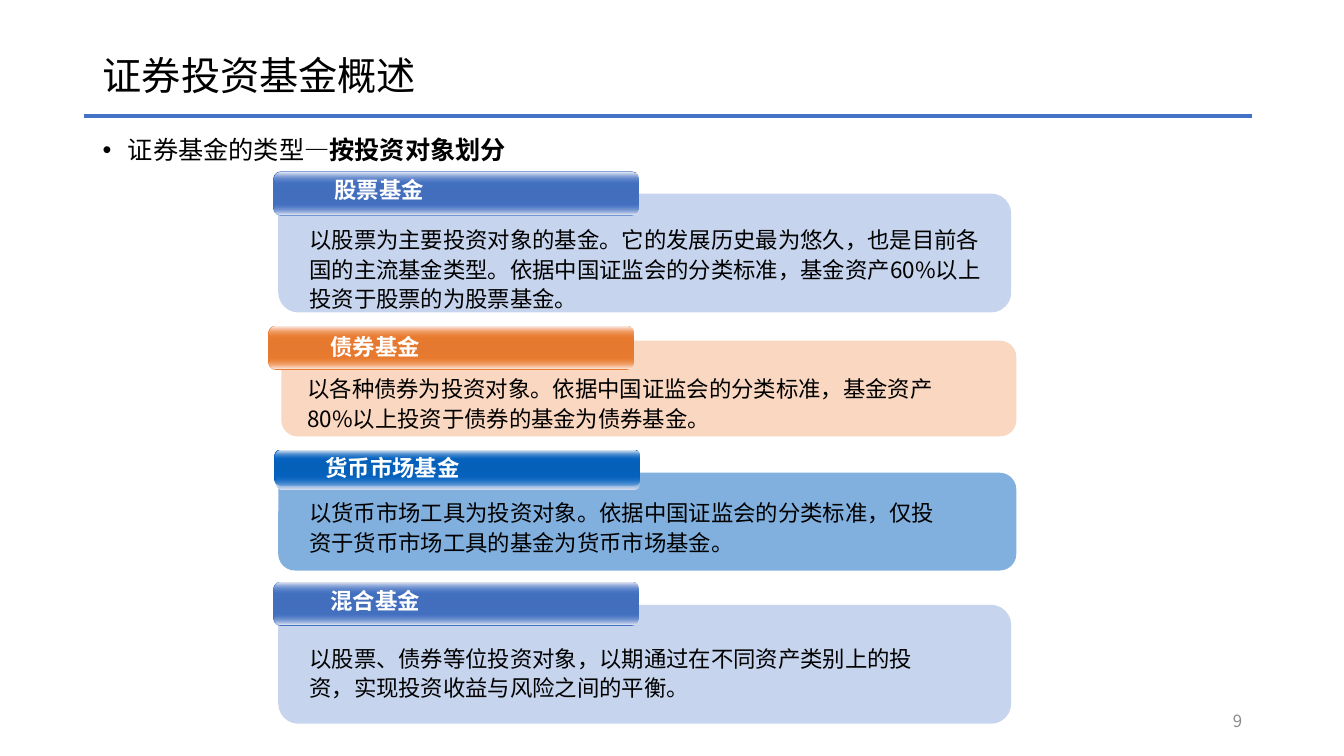
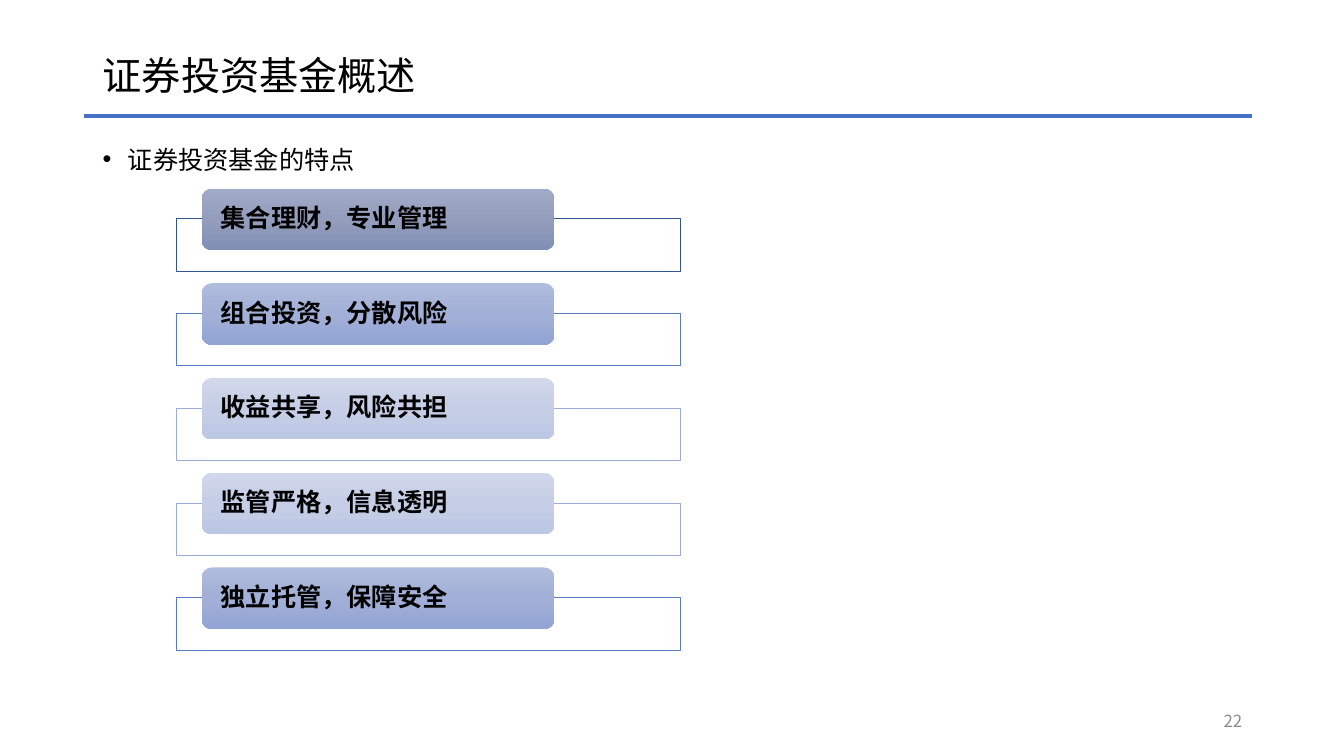
from lxml import etree
from pptx import Presentation
from pptx.dml.color import RGBColor
from pptx.enum.shapes import MSO_CONNECTOR, MSO_SHAPE
from pptx.enum.text import MSO_ANCHOR, MSO_AUTO_SIZE, PP_ALIGN
from pptx.oxml import parse_xml
from pptx.oxml.ns import nsdecls, qn
from pptx.util import Inches, Pt

RECTANGLE, ROUNDED = MSO_SHAPE.RECTANGLE, MSO_SHAPE.ROUNDED_RECTANGLE
STRAIGHT = MSO_CONNECTOR.STRAIGHT
TOP, MIDDLE = MSO_ANCHOR.TOP, MSO_ANCHOR.MIDDLE
LEFT, RIGHT = PP_ALIGN.LEFT, PP_ALIGN.RIGHT
NO_AUTOFIT = MSO_AUTO_SIZE.NONE

FONT = "Noto Sans CJK SC"
BLACK, WHITE, GRAY = "000000", "FFFFFF", "8C8C8C"
BLUE, ORANGE, DEEP_BLUE = "4472C4", "ED7D31", "0563C1"
color = RGBColor.from_string


def set_text(shape, runs, size, text_color=BLACK, spacing=1.0, align=LEFT, anchor=TOP):
    frame = shape.text_frame
    frame.word_wrap = True
    frame.auto_size = NO_AUTOFIT
    frame.vertical_anchor = anchor
    paragraph = frame.paragraphs[0]
    paragraph.alignment = align
    paragraph.line_spacing = spacing
    for text, bold in runs:
        run = paragraph.add_run()
        run.text = text
        run.font.size = Pt(size)
        run.font.bold = bold
        run.font.color.rgb = color(text_color)
        run.font.name = FONT
        east_asian = etree.SubElement(run.font._element, qn("a:ea"))
        east_asian.set("typeface", FONT)
    return paragraph


def add_box(group, kind, at, stops, adjustment=None, line=None):
    shape = group.shapes.add_shape(kind, *map(Inches, at))
    shape.shadow.inherit = False
    if adjustment is not None:
        shape.adjustments[0] = adjustment
    if line:
        shape.line.color.rgb = color(line)
        shape.line.width = Pt(0.5)
    else:
        shape.line.fill.background()
    colors = [
        f'<a:srgbClr val="{value}"><a:alpha val="{opacity * 1000}"/></a:srgbClr>'
        for value, opacity in stops
    ]
    if len(colors) == 1:
        fill = f'<a:solidFill {nsdecls("a")}>{colors[0]}</a:solidFill>'
    else:
        step = 100000 // (len(colors) - 1)
        marks = "".join(f'<a:gs pos="{i * step}">{c}</a:gs>' for i, c in enumerate(colors))
        fill = (f'<a:gradFill {nsdecls("a")} rotWithShape="1"><a:gsLst>{marks}</a:gsLst>'
                '<a:lin ang="5400000" scaled="0"/></a:gradFill>')
    shape.fill.background()
    properties = shape._element.spPr
    properties.replace(properties.find(qn("a:noFill")), parse_xml(fill))
    return shape


presentation = Presentation()
presentation.slide_width = Inches(13.33)
presentation.slide_height = Inches(7.5)

pages = [
    ("9", [("证券基金的类型—", False), ("按投资对象划分", True)], 0.9),
    ("22", [("证券投资基金的特点", False)], 1.2),
]
slides = []
for number, heading, spacing in pages:
    slide = presentation.slides.add_slide(presentation.slide_layouts[5])
    slides.append(slide)
    title = slide.shapes.title
    title.left, title.top, title.width, title.height = map(Inches, (0.92, 0.4, 11.5, 0.74))
    set_text(title, [("证券投资基金概述", False)], 28, spacing=0.9, anchor=MIDDLE)

    heading_box = slide.shapes.add_textbox(*map(Inches, (0.92, 1.32, 11.5, 0.5)))
    paragraph = set_text(heading_box, heading, 18, spacing=spacing)
    bullet = paragraph._p.get_or_add_pPr()
    bullet.set("marL", str(Inches(0.25)))
    bullet.set("indent", str(-Inches(0.25)))
    etree.SubElement(bullet, qn("a:buFont")).set("typeface", "Arial")
    etree.SubElement(bullet, qn("a:buChar")).set("char", "•")

    rule = slide.shapes.add_connector(
        STRAIGHT, Inches(0.83), Inches(1.15), Inches(12.42), Inches(1.15))
    rule.line.color.rgb = color(BLUE)
    rule.line.width = Pt(3)
    etree.SubElement(rule._element.spPr, qn("a:effectLst"))

    number_box = slide.shapes.add_textbox(*map(Inches, (9.42, 6.95, 3, 0.4)))
    set_text(number_box, [(number, False)], 12, GRAY, align=RIGHT, anchor=MIDDLE)

types_slide, features_slide = slides

blue_style = (BLUE, "426EBD", "E6E9F3", "E9EBF5", 30)
orange_style = (ORANGE, "E5792F", "FCF0ED", "FCEDE9", 30)
deep_style = (DEEP_BLUE, "0560BA", "E8EBF5", "E0E4F1", 50)
tall_tab = (0.44, 0.32, 0.11)
short_tab = (0.36, 0.26, 0.14)
funds = [
    ("股票基金",
     "以股票为主要投资对象的基金。它的发展历史最为悠久，也是目前各国的主流基金类型。"
     "依据中国证监会的分类标准，基金资产60%以上投资于股票的为股票基金。",
     blue_style, (2.76, 1.92, 7.27, 1.18), (2.71, 1.7), tall_tab,
     (3.22, 1.7), (2.97, 2.17, 6.88, 0.95)),
    ("债券基金",
     "以各种债券为投资对象。依据中国证监会的分类标准，基金资产80%以上投资于债券的基金为债券基金。",
     orange_style, (2.79, 3.38, 7.29, 0.95), (2.66, 3.23), tall_tab,
     (3.18, 3.26), (2.95, 3.65, 6.75, 0.66)),
    ("货币市场基金",
     "以货币市场工具为投资对象。依据中国证监会的分类标准，仅投资于货币市场工具的基金为货币市场基金。",
     deep_style, (2.76, 4.69, 7.32, 0.97), (2.72, 4.46), short_tab,
     (3.13, 4.46), (2.97, 4.88, 6.6, 0.66)),
    ("混合基金",
     "以股票、债券等位投资对象，以期通过在不同资产类别上的投资，实现投资收益与风险之间的平衡。",
     blue_style, (2.76, 6, 7.27, 1.18), (2.71, 5.77), tall_tab,
     (3.18, 5.78), (2.97, 6.32, 6.32, 0.66)),
]
for name, description, style, panel, tab, tab_sizes, label, body in funds:
    base, middle, upper_gloss, lower_gloss, opacity = style
    left, top = tab
    height, gloss_offset, gloss_height = tab_sizes
    group = types_slide.shapes.add_group_shape()
    add_box(group, ROUNDED, panel, [(base, opacity)], 0.17)
    add_box(group, ROUNDED, (left, top, 3.63, height),
            [(base, 100), (middle, 100), (base, 100)], 0.17)
    add_box(group, ROUNDED, (left + 0.01, top + gloss_offset, 3.61, gloss_height),
            [(base, 0), (lower_gloss, 100)], 0.5)
    add_box(group, ROUNDED, (left + 0.01, top + 0.01, 3.61, height / 4),
            [(upper_gloss, 100), (base, 0)], 0.5)
    label_box = group.shapes.add_textbox(*map(Inches, (*label, 1.81, 0.37)))
    set_text(label_box, [(name, True)], 16, WHITE)
    body_box = group.shapes.add_textbox(*map(Inches, body))
    set_text(body_box, [(description, False)], 16, spacing=1.1)

dark_shade = ("325491", ("A1AAC7", "949EBC", "818EB5"))
medium_shade = ("5B7BC0", ("B0BCDD", "A2B0D7", "92A4D4"))
light_shade = ("9DACD6", ("D2D8EC", "C5CEE6", "BCC7E4"))
features = [
    ("集合理财，专业管理", dark_shade),
    ("组合投资，分散风险", medium_shade),
    ("收益共享，风险共担", light_shade),
    ("监管严格，信息透明", light_shade),
    ("独立托管，保障安全", medium_shade),
]
for index, (feature, (outline, shades)) in enumerate(features):
    top = 1.87 + 0.94 * index
    group = features_slide.shapes.add_group_shape()
    add_box(group, RECTANGLE, (1.75, top + 0.3, 5, 0.52), [(WHITE, 90)], line=outline)
    card = add_box(group, ROUNDED, (2, top, 3.5, 0.61), [(shade, 100) for shade in shades])
    set_text(card, [(feature, True)], 18, spacing=0.9, anchor=MIDDLE)
    card.text_frame.margin_left = card.text_frame.margin_right = Inches(0.16)
    card.text_frame.margin_top = card.text_frame.margin_bottom = 0

presentation.save("out.pptx")
